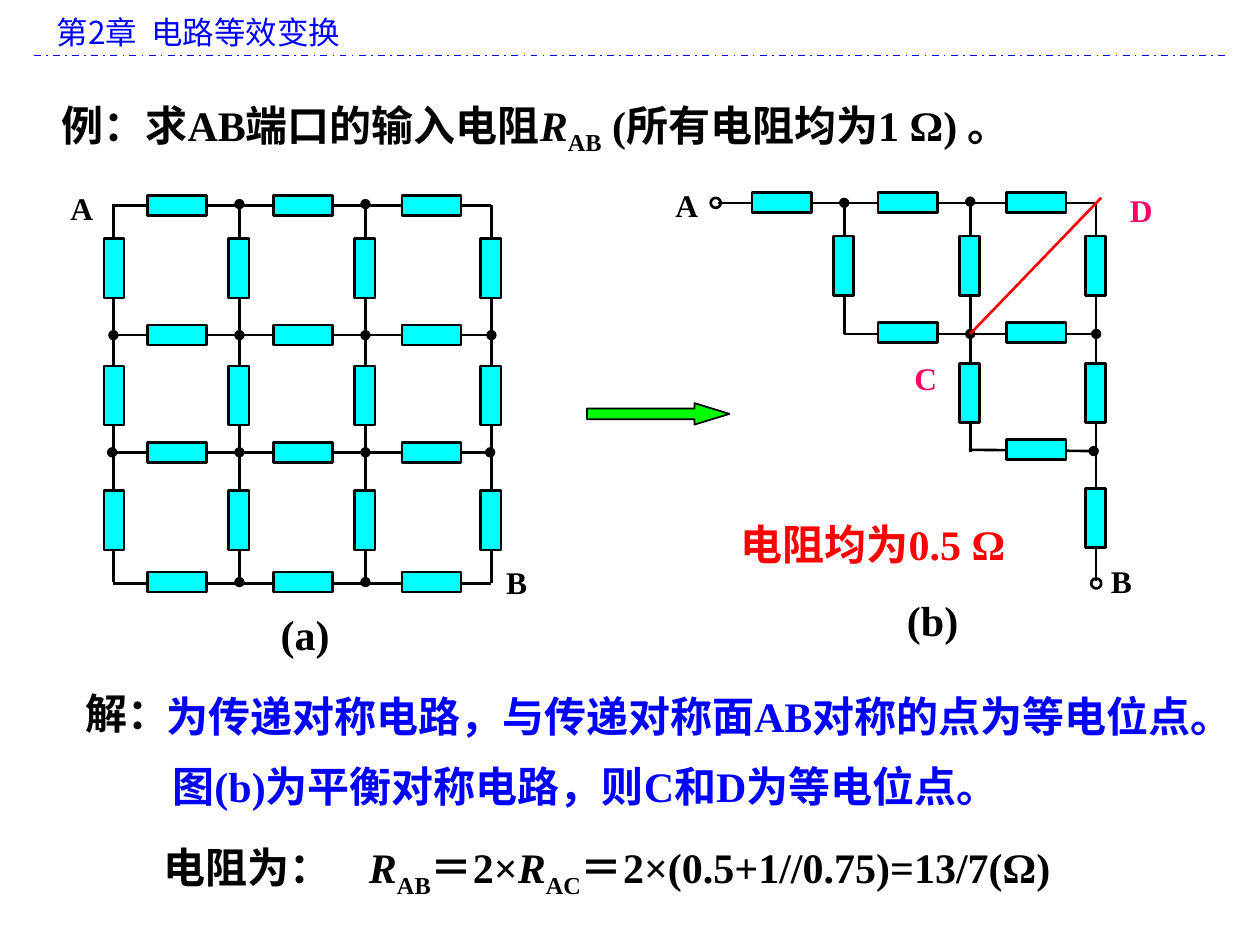
from lxml.etree import SubElement
from pptx import Presentation
from pptx.dml.color import RGBColor
from pptx.enum.dml import MSO_LINE
from pptx.enum.shapes import MSO_CONNECTOR, MSO_SHAPE
from pptx.enum.text import MSO_ANCHOR, MSO_AUTO_SIZE, PP_ALIGN
from pptx.oxml.ns import qn
from pptx.util import Inches, Pt

BLACK = RGBColor(0x00, 0x00, 0x00)
BLUE = RGBColor(0x00, 0x00, 0xFF)
RED = RGBColor(0xFF, 0x00, 0x00)
PINK = RGBColor(0xFF, 0x00, 0x66)
CYAN = RGBColor(0x00, 0xFF, 0xFF)
GREEN = RGBColor(0x00, 0xFF, 0x00)
SERIF = "Times New Roman"
SANS = "Noto Sans CJK SC"

HEADER = "第2章  电路等效变换"
ITALIC, SUB = "italic", "sub"
TEXTS = [
    ((0.39, 0.74, 9.24, 0.5), ["例：求AB端口的输入电阻", ("R", ITALIC), ("AB", SUB),
                               " (所有电阻均为1 Ω) 。"], 24, BLACK),
    ((0.58, 5.41, 0.98, 0.5), ["解："], 24, BLACK),
    ((1.22, 5.43, 8.78, 0.5), ["为传递对称电路，与传递对称面AB对称的点为等电位点。"], 24, BLUE),
    ((1.27, 5.99, 8.78, 0.5), ["图(b)为平衡对称电路，则C和D为等电位点。"], 24, BLUE),
    ((1.2, 6.63, 1.96, 0.5), ["电阻为："], 24, BLACK),
    ((2.83, 6.63, 7.22, 0.5), [("R", ITALIC), ("AB", SUB), "＝2×", ("R", ITALIC), ("AC", SUB),
                               "＝2×(0.5+1//0.75)=13/7(Ω)"], 24, BLACK),
    ((5.78, 4.07, 2.35, 0.5), ["电阻均为0.5 Ω"], 24, RED),
    ((7.16, 2.8, 0.6, 0.4), ["C"], 18, PINK),
    ((8.87, 1.47, 0.6, 0.4), ["D"], 18, PINK),
    ((2.13, 4.78, 0.84, 0.5), ["(a)"], 24, BLACK),
    ((7.1, 4.67, 0.84, 0.5), ["(b)"], 24, BLACK),
]

RESISTOR = (0.47, 0.16)
ACROSS_X = (1.17, 2.17, 3.19)
ACROSS_Y = (1.55, 2.58, 3.51, 4.54)
DOWN_X = (0.67, 1.66, 2.66, 3.66)
DOWN_Y = (2.05, 3.06, 4.05)
SHIFT_B = (4.8, -0.02)
NODE_X = (1.9, 2.9)
NODE_Y = (2.66, 3.59)
DOT = "oval"

WIRES_A = [
    ((0.9, 1.63), (3.9, 1.63), None, None),
    ((0.9, 4.63), (3.9, 4.63), None, None),
    ((0.9, 1.62), (0.9, 4.62), None, None),
    ((3.9, 1.63), (3.9, 4.63), None, None),
    *[((x, 1.62), (x, 4.62), DOT, DOT) for x in NODE_X],
    ((0.9, 2.66), (3.9, 2.66), DOT, DOT),
    ((0.89, 3.59), (3.89, 3.59), DOT, DOT),
    *[((x, y), (x + 0.25, y), DOT, None) for x in NODE_X for y in NODE_Y],
]
WIRES_B = [
    ((5.7, 1.61), (8.7, 1.61), None, None),
    ((8.7, 1.61), (8.7, 4.61), None, None),
    ((6.7, 1.61), (6.7, 2.65), DOT, None),
    ((7.7, 1.6), (7.7, 3.59), DOT, None),
    ((7.69, 3.57), (8.68, 3.58), None, DOT),
    ((6.7, 2.65), (8.7, 2.65), None, DOT),
    ((7.7, 2.65), (7.95, 2.65), DOT, None),
]
TERMINALS_A = [("A", (0.46, 1.45)), ("B", (3.91, 4.42))]
TERMINALS_B = [("A", (5.26, 1.43)), ("B", (8.71, 4.41))]
RINGS_B = [(5.64, 1.57), (8.66, 4.59)]


def write(box, parts, size=24, color=BLACK, font=SERIF, bold=True, align=PP_ALIGN.LEFT,
          anchor=MSO_ANCHOR.TOP, wrap=True):
    frame = box.text_frame
    frame.word_wrap = wrap
    frame.auto_size = MSO_AUTO_SIZE.SHAPE_TO_FIT_TEXT
    frame.vertical_anchor = anchor
    para = frame.paragraphs[0]
    para.alignment = align
    for part in parts:
        text, style = part if isinstance(part, tuple) else (part, None)
        span = para.add_run()
        span.text = text
        span.font.size = Pt(size)
        span.font.bold = bold
        span.font.italic = style == ITALIC
        span.font.color.rgb = color
        span.font.name = font
        props = span._r.get_or_add_rPr()
        SubElement(props, qn("a:ea")).set("typeface", SANS)
        if style == SUB:
            props.set("baseline", "-25000")


def add_line(shapes, start, end, head=None, tail=None, color=BLACK, width=1.5, dash=None):
    line = shapes.add_connector(MSO_CONNECTOR.STRAIGHT, *map(Inches, start + end))
    line.line.color.rgb = color
    line.line.width = Pt(width)
    if dash:
        line.line.dash_style = dash
    outline = line.line._get_or_add_ln()
    for tag, kind in (("a:headEnd", head), ("a:tailEnd", tail)):
        if kind:
            SubElement(outline, qn(tag)).set("type", kind)
    SubElement(line._element.spPr, qn("a:effectLst"))


def add_solid(shapes, kind, place, fill=None, width=1.5, rotation=0):
    shape = shapes.add_shape(kind, *map(Inches, place))
    shape.shadow.inherit = False
    shape.rotation = rotation
    if fill is None:
        shape.fill.background()
    else:
        shape.fill.solid()
        shape.fill.fore_color.rgb = fill
    shape.line.color.rgb = BLACK
    shape.line.width = Pt(width)
    return shape


def add_circuit(page, wires, terminals, rings=(), shift=(0, 0), upper_half=False):
    shapes = page.shapes.add_group_shape().shapes
    for wire in wires:
        add_line(shapes, *wire)
    across = [(x, y, 0) for row, y in enumerate(ACROSS_Y) for col, x in enumerate(ACROSS_X)
              if not upper_half or col >= row]
    down = [(x, y, 90) for row, y in enumerate(DOWN_Y) for col, x in enumerate(DOWN_X)
            if not upper_half or col > row]
    for x, y, rotation in across + down:
        add_solid(shapes, MSO_SHAPE.RECTANGLE, (x + shift[0], y + shift[1], *RESISTOR),
                  fill=CYAN, rotation=rotation)
    for ring in rings:
        add_solid(shapes, MSO_SHAPE.OVAL, (*ring, 0.08, 0.08))
    for name, corner in terminals:
        box = shapes.add_textbox(*map(Inches, (*corner, 0.38, 0.4)))
        write(box, [name], size=18, align=PP_ALIGN.CENTER, anchor=MSO_ANCHOR.MIDDLE, wrap=False)


def main():
    deck = Presentation()
    deck.slide_width, deck.slide_height = Inches(10), Inches(7.5)
    page = deck.slides.add_slide(deck.slide_layouts[5])

    title = page.shapes.title
    title.left, title.top, title.width, title.height = map(Inches, (0.35, 0.05, 9.37, 0.4))
    write(title, [HEADER], size=18, color=BLUE, font=SANS, bold=False)
    add_line(page.shapes, (0.27, 0.44), (9.72, 0.44), color=BLUE, width=1, dash=MSO_LINE.DASH_DOT)

    arrow = add_solid(page.shapes, MSO_SHAPE.RIGHT_ARROW, (4.66, 3.2, 1.13, 0.17), fill=GREEN, width=1)
    arrow.adjustments[0] = 0.5
    arrow.adjustments[1] = 1.63

    add_circuit(page, WIRES_A, TERMINALS_A)
    add_circuit(page, WIRES_B, TERMINALS_B, rings=RINGS_B, shift=SHIFT_B, upper_half=True)
    add_line(page.shapes, (7.7, 2.65), (8.74, 1.57), color=RED)

    for place, parts, size, color in TEXTS:
        write(page.shapes.add_textbox(*map(Inches, place)), parts, size=size, color=color)

    deck.save("out.pptx")


if __name__ == "__main__":
    main()
